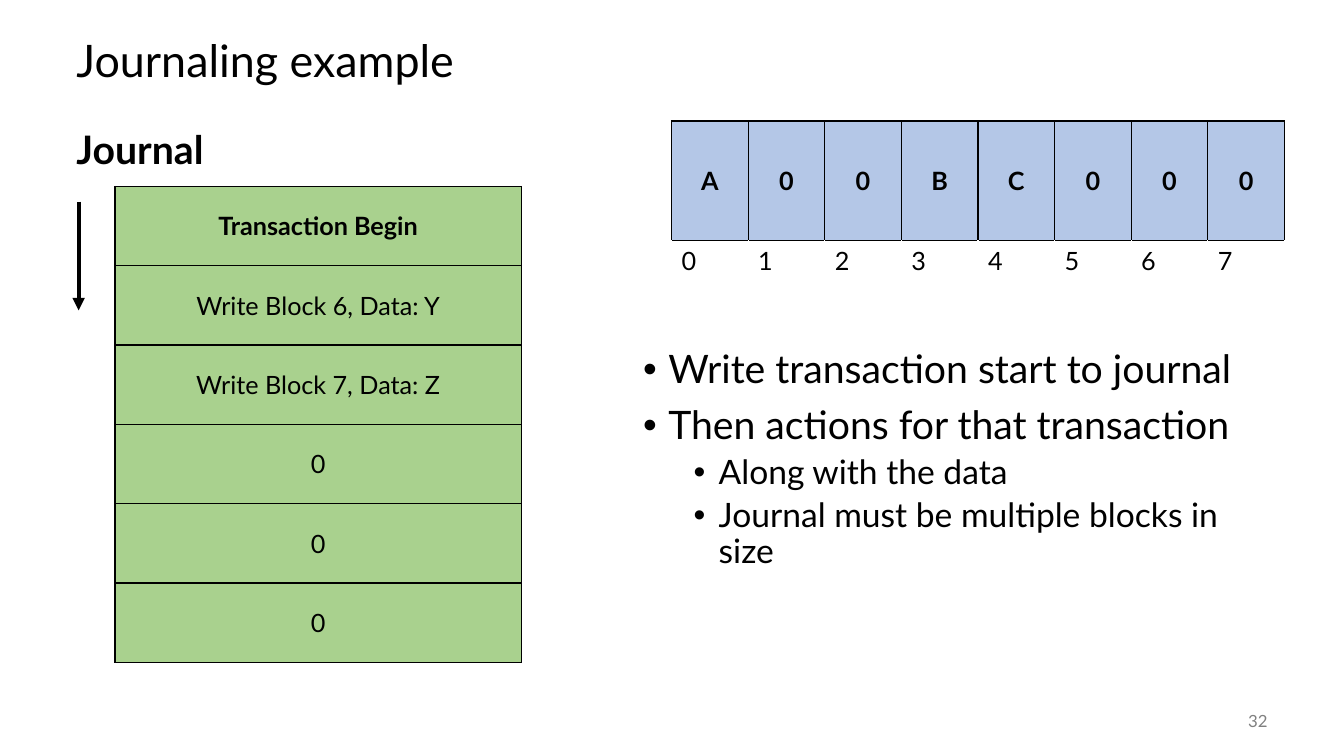
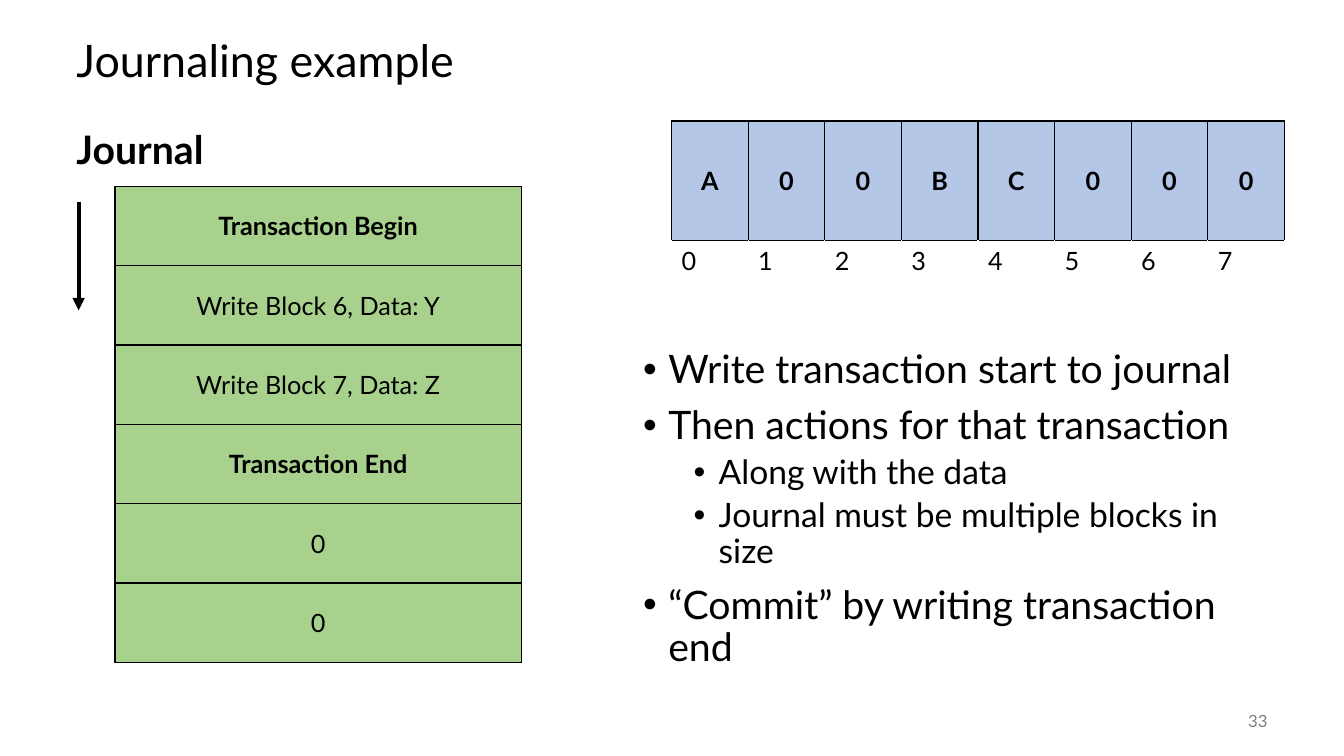
from lxml.etree import SubElement
from pptx import Presentation
from pptx.dml.color import RGBColor as RGB
from pptx.enum.shapes import MSO_CONNECTOR as Connector
from pptx.enum.text import MSO_ANCHOR as Anchor, PP_ALIGN as Align
from pptx.oxml.ns import qn
from pptx.util import Inches, Pt

FONT = "Lato"
COLORS = {
    "text": "000000",
    "page": "FFFFFF",
    "number": "808080",
    "disk": "B4C7E7",
    "journal": "A9D18E",
}

DISK_BLOCKS = ["A", "0", "0", "B", "C", "0", "0", "0"]
WRITES = ["Transaction Begin", "Write Block 6, Data: Y", "Write Block 7, Data: Z"]
STEPS = [
    (0, "Write transaction start to journal"),
    (0, "Then actions for that transaction"),
    (1, "Along with the data"),
    (1, "Journal must be multiple blocks in size"),
]
SLIDES = [
    (32, WRITES + ["0", "0", "0"], STEPS),
    (33, WRITES + ["Transaction End", "0", "0"],
     STEPS + [(0, "“Commit” by writing transaction end")]),
]


def write(frame, text, size=18, color="text", bold=False, align=Align.LEFT,
          anchor=Anchor.TOP, spacing=None, before=0, bullet_level=None):
    """Put text in the frame's empty first paragraph, or in a new one."""
    frame.word_wrap = True
    frame.vertical_anchor = anchor
    first = not frame.text
    paragraph = frame.paragraphs[0] if first else frame.add_paragraph()
    if bullet_level is not None:
        props = paragraph._p.get_or_add_pPr()
        props.set("marL", str(Inches(0.25 + 0.5 * bullet_level)))
        props.set("indent", str(Inches(-0.25)))
        SubElement(props, qn("a:buFont"), typeface="Arial")
        SubElement(props, qn("a:buChar"), char="•")
        paragraph.level = bullet_level
    paragraph.alignment = align
    paragraph.space_before = Pt(0 if first else before)
    if spacing:
        paragraph.line_spacing = spacing
    run = paragraph.add_run()
    run.text = text
    run.font.name = FONT
    run.font.size = Pt(size)
    run.font.bold = bold
    run.font.color.rgb = RGB.from_string(COLORS[color])


def style_cell(cell, fill=None, sides="text", top="text"):
    """Give a cell its borders, then its fill."""
    props = cell._tc.get_or_add_tcPr()
    for edge, color in (("L", sides), ("R", sides), ("T", top), ("B", sides)):
        border = SubElement(props, qn(f"a:ln{edge}"), w=str(Pt(1)))
        solid = SubElement(border, qn("a:solidFill"))
        SubElement(solid, qn("a:srgbClr"), val=COLORS[color])
    if fill:
        cell.fill.solid()
        cell.fill.fore_color.rgb = RGB.from_string(COLORS[fill])
        cell.vertical_anchor = Anchor.MIDDLE
    else:
        cell.fill.background()


prs = Presentation()
prs.slide_width, prs.slide_height = Inches(13.33), Inches(7.5)

for number, entries, steps in SLIDES:
    slide = prs.slides.add_slide(prs.slide_layouts[6])
    shapes = slide.shapes

    # Title, journal heading and slide number
    title = shapes.add_textbox(Inches(0.66), Inches(0.25), Inches(12), Inches(0.75))
    write(title.text_frame, "Journaling example", size=32, anchor=Anchor.MIDDLE, spacing=0.9)
    heading = shapes.add_textbox(Inches(0.66), Inches(1.25), Inches(5.75), Inches(0.55))
    write(heading.text_frame, "Journal", size=28, bold=True, spacing=0.9)
    page_number = shapes.add_textbox(Inches(11.67), Inches(6.95), Inches(1), Inches(0.4))
    write(page_number.text_frame, str(number), size=12, color="number",
          align=Align.RIGHT, anchor=Anchor.MIDDLE)

    # Explanation
    explanation = shapes.add_textbox(Inches(6.28), Inches(3.42), Inches(6.39), Inches(3.33))
    for level, step in steps:
        write(explanation.text_frame, step, size=28 - 4 * level, spacing=0.9,
              before=10 - 5 * level, bullet_level=level)

    # Disk blocks with their numbers below
    disk = shapes.add_table(2, len(DISK_BLOCKS), Inches(6.66), Inches(1.2),
                            Inches(6.08), Inches(1.72)).table
    disk.first_row = disk.horz_banding = False
    disk.rows[0].height, disk.rows[1].height = Inches(1.19), Inches(0.53)
    for index, content in enumerate(DISK_BLOCKS):
        block, label = disk.cell(0, index), disk.cell(1, index)
        write(block.text_frame, content, bold=True, align=Align.CENTER)
        style_cell(block, fill="disk")
        write(label.text_frame, str(index))
        style_cell(label, sides="page")

    # Journal entries
    journal = shapes.add_table(len(entries), 1, Inches(1.14), Inches(1.85),
                               Inches(4.03), Inches(4.72)).table
    journal.first_row = journal.horz_banding = False
    for index, entry in enumerate(entries):
        cell = journal.cell(index, 0)
        write(cell.text_frame, entry, bold=entry.startswith("Transaction"), align=Align.CENTER)
        style_cell(cell, fill="journal")

    # Writing direction
    arrow = shapes.add_connector(Connector.STRAIGHT, Inches(0.78), Inches(2),
                                 Inches(0.78), Inches(3.08))
    arrow.line.color.rgb = RGB.from_string(COLORS["text"])
    arrow.line.width = Pt(3)
    SubElement(arrow.line._get_or_add_ln(), qn("a:tailEnd"), type="triangle")
    SubElement(arrow._element.spPr, qn("a:effectLst"))

prs.save("out.pptx")
